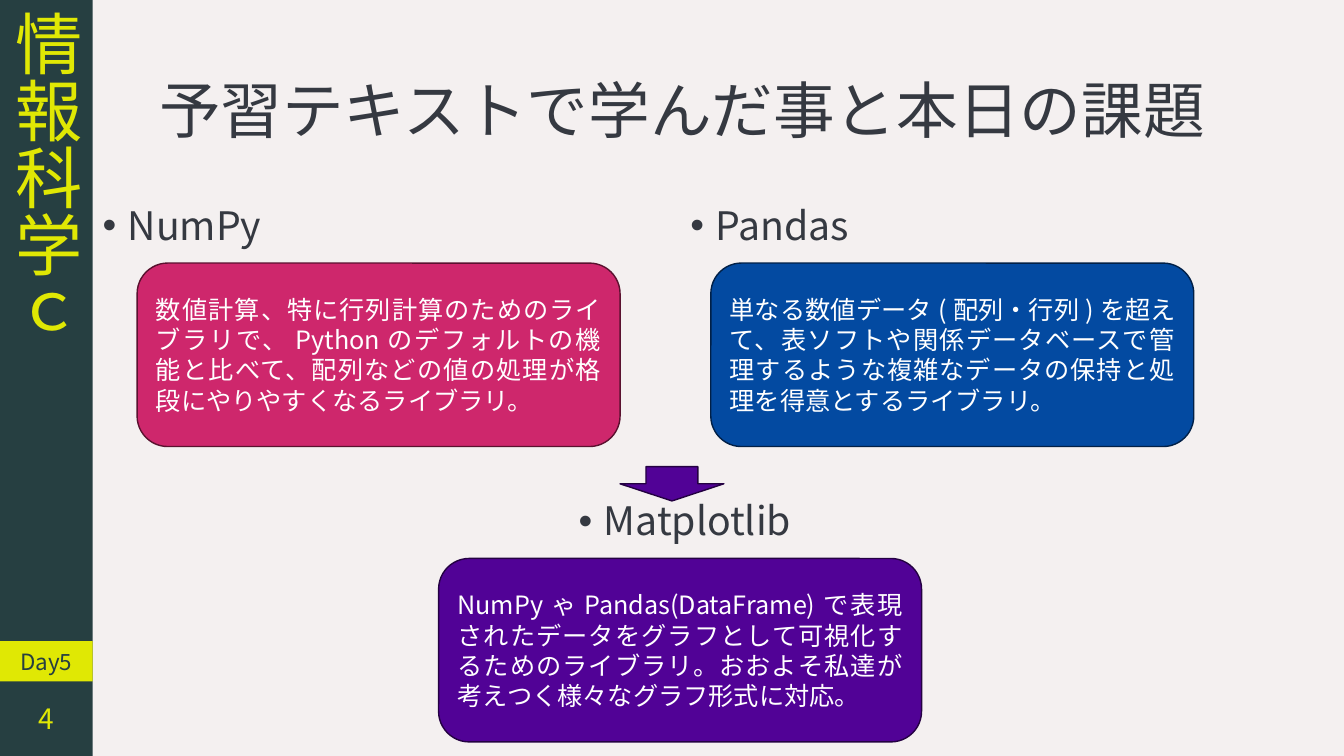
"""Build a slide on three Python data libraries beside a vertical course sidebar."""
from dataclasses import dataclass

from pptx import Presentation
from pptx.dml.color import RGBColor
from pptx.enum.shapes import MSO_SHAPE
from pptx.enum.text import MSO_ANCHOR, PP_ALIGN
from pptx.oxml.ns import qn
from pptx.util import Inches, Pt
from lxml.etree import SubElement


@dataclass(frozen=True)
class Theme:
    font: str = "Noto Sans CJK JP"
    paper: str = "F4F0F0"
    ink: str = "353941"
    dark: str = "263F41"
    accent: str = "E0E804"
    white: str = "FFFFFF"
    pink: tuple = ("CE276C", "5A112F")
    blue: tuple = ("034AA1", "012047")
    purple: tuple = ("510296", "240142")
    course_size: int = 48
    title_size: int = 44
    heading_size: int = 28
    page_size: int = 20
    body_size: int = 18
    day_size: int = 16


THEME = Theme()
COURSE, DAY, PAGE = "情報科学ｃ", "Day5", "4"
TITLE = "予習テキストで学んだ事と本日の課題"
LIBRARIES = [
    {"name": "NumPy", "heading_at": (0.92, 2), "card_left": 1.36, "colors": THEME.pink,
     "summary": "数値計算、特に行列計算のためのライブラリで、Pythonのデフォルトの機能と比べて、"
                "配列などの値の処理が格段にやりやすくなるライブラリ。"},
    {"name": "Pandas", "heading_at": (6.75, 2), "card_left": 7.05, "colors": THEME.blue,
     "summary": "単なる数値データ(配列・行列)を超えて、表ソフトや関係データベースで管理するような"
                "複雑なデータの保持と処理を得意とするライブラリ。"},
    {"name": "Matplotlib", "heading_at": (5.64, 4.93), "card_left": 4.35, "colors": THEME.purple,
     "summary": "NumPyゃPandas(DataFrame)で表現されたデータをグラフとして可視化するための"
                "ライブラリ。おおよそ私達が考えつく様々なグラフ形式に対応。"},
]

SLIDE_W, SLIDE_H = 13.33, 7.5
SIDEBAR_W = 0.92
DAY_TOP, DAY_H = 6.36, 0.4
PAGE_TOP = DAY_TOP + DAY_H
HEADING_W, HEADING_H = 5.67, 4.76
CARD_W, CARD_H, CARD_DROP = 4.79, 1.82, 0.61
ARROW_BOX = (LIBRARIES[0]["card_left"] + CARD_W, 4.63, 1.03, 0.34)

presentation = Presentation()
presentation.slide_width, presentation.slide_height = Inches(SLIDE_W), Inches(SLIDE_H)
slide = presentation.slides.add_slide(presentation.slide_layouts[6])
slide.background.fill.solid()
slide.background.fill.fore_color.rgb = RGBColor.from_string(THEME.paper)


def add_block(preset, box, fill, outline=None):
    block = slide.shapes.add_shape(preset, *map(Inches, box))
    block.shadow.inherit = False
    block.fill.solid()
    block.fill.fore_color.rgb = RGBColor.from_string(fill)
    if outline:
        block.line.color.rgb = RGBColor.from_string(outline)
        block.line.width = Pt(1)
    else:
        block.line.fill.background()
    return block


def add_area(box):
    return slide.shapes.add_textbox(*map(Inches, box))


def write(holder, text, *, size, color, align=PP_ALIGN.LEFT, anchor=MSO_ANCHOR.MIDDLE,
          spacing=None, bullet=None, vertical=False):
    frame = holder.text_frame
    frame.word_wrap = True
    frame.vertical_anchor = anchor
    if vertical:
        frame._txBody.bodyPr.set("vert", "eaVert")
    paragraph = frame.paragraphs[0]
    paragraph.alignment = align
    if spacing:
        paragraph.line_spacing = spacing
    if bullet:
        properties = paragraph._p.get_or_add_pPr()
        properties.set("marL", str(Inches(0.25)))
        properties.set("indent", str(-Inches(0.25)))
        SubElement(properties, qn("a:buFont")).set("typeface", "Arial")
        SubElement(properties, qn("a:buChar")).set("char", bullet)
    run = paragraph.add_run()
    run.text = text
    run.font.size = Pt(size)
    run.font.color.rgb = RGBColor.from_string(color)
    run.font.name = THEME.font
    run_properties = run._r.get_or_add_rPr()
    run_properties.set("lang", "ja-JP")
    SubElement(run_properties, qn("a:ea")).set("typeface", THEME.font)


sidebar = add_block(MSO_SHAPE.RECTANGLE, (0, 0, SIDEBAR_W, SLIDE_H), THEME.dark)
write(sidebar, COURSE, size=THEME.course_size, color=THEME.accent,
      align=PP_ALIGN.CENTER, vertical=True)
write(add_area((1.48, 0.4, 10.93, 1.45)), TITLE, size=THEME.title_size,
      color=THEME.ink, spacing=0.9)
day_band = add_block(MSO_SHAPE.RECTANGLE, (0, DAY_TOP, SIDEBAR_W, DAY_H), THEME.accent)
write(day_band, DAY, size=THEME.day_size, color=THEME.dark, align=PP_ALIGN.CENTER)
write(add_area((0, PAGE_TOP, SIDEBAR_W, SLIDE_H - PAGE_TOP)), PAGE,
      size=THEME.page_size, color=THEME.accent, align=PP_ALIGN.CENTER)

for library in LIBRARIES:
    left, top = library["heading_at"]
    write(add_area((left, top, HEADING_W, HEADING_H)), library["name"],
          size=THEME.heading_size, color=THEME.ink, anchor=MSO_ANCHOR.TOP,
          spacing=0.9, bullet="•")
    card = add_block(MSO_SHAPE.ROUNDED_RECTANGLE,
                     (library["card_left"], top + CARD_DROP, CARD_W, CARD_H),
                     *library["colors"])
    write(card, library["summary"], size=THEME.body_size, color=THEME.white,
          align=PP_ALIGN.JUSTIFY)

add_block(MSO_SHAPE.DOWN_ARROW, ARROW_BOX, *THEME.purple)

presentation.save("out.pptx")
